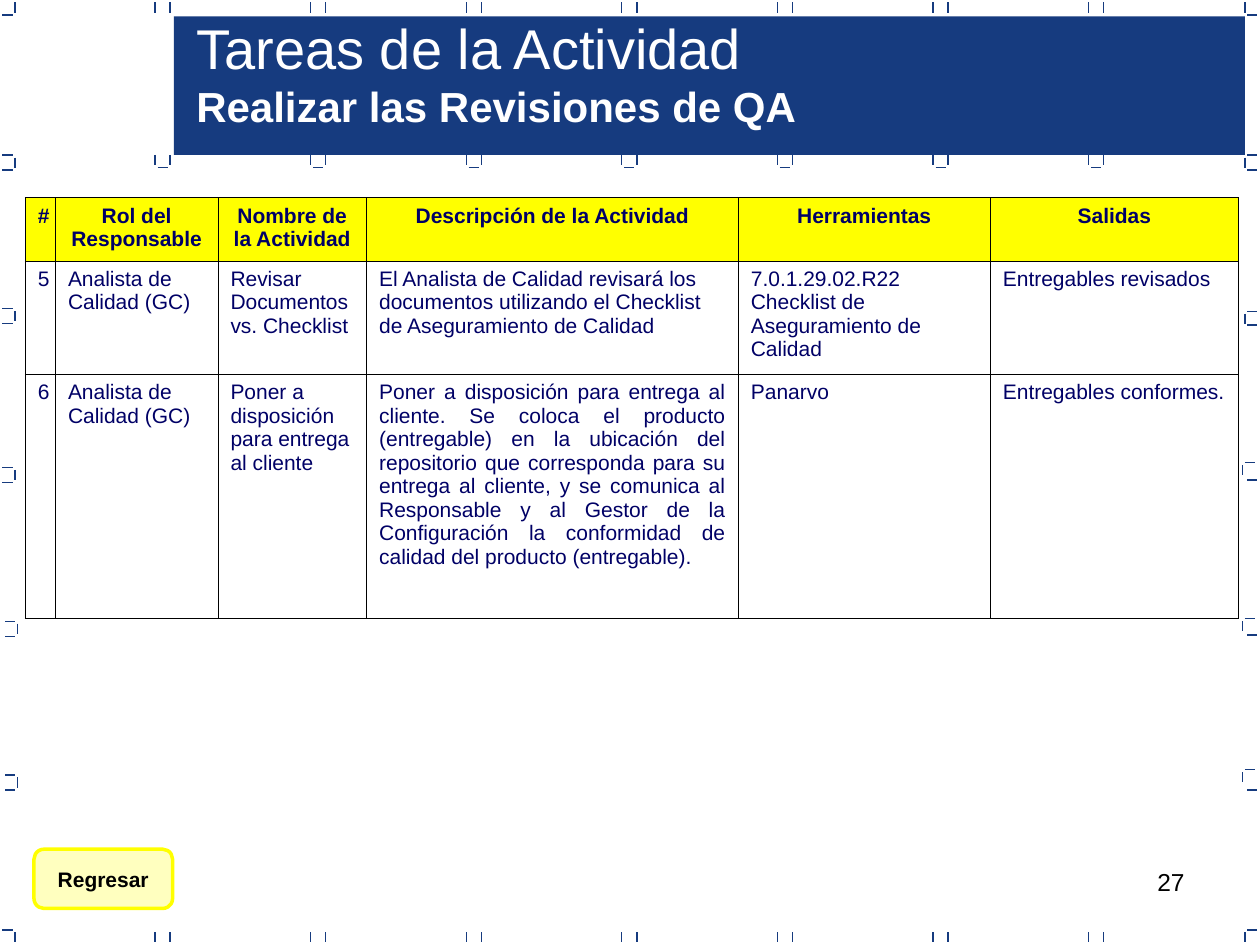
import pptx
import pptx.util
import pptx.dml.color
import pptx.enum.shapes
import pptx.enum.text
import pptx.oxml
import pptx.oxml.ns
import lxml.etree

Inches = pptx.util.Inches
Pt = pptx.util.Pt
RGBColor = pptx.dml.color.RGBColor
MSO_SHAPE = pptx.enum.shapes.MSO_SHAPE
PP_ALIGN = pptx.enum.text.PP_ALIGN
qn = pptx.oxml.ns.qn

BLUE = RGBColor(0x16, 0x3B, 0x7F)
NAVY = RGBColor(0x00, 0x00, 0x66)
YELLOW = RGBColor(0xFF, 0xFF, 0x00)
WHITE = RGBColor(0xFF, 0xFF, 0xFF)
BLACK = RGBColor(0x00, 0x00, 0x00)

TICK = 0.08    # length of a border tick
GAP = 0.02     # space between a tick and the corner it hints at
SIDE = 0.12    # side of a dashed corner square

COLUMNS = [0.24, 1.29, 1.18, 2.95, 2.0, 1.97]
ROWS = [0.5, 0.9, 1.94]
HEADER = ["#", "Rol del Responsable", "Nombre de la Actividad",
          "Descripción de la Actividad", "Herramientas", "Salidas"]
TASKS = [
    ["5", "Analista de Calidad (GC)", "Revisar Documentos vs. Checklist",
     "El Analista de Calidad revisará los documentos utilizando el Checklist "
     "de Aseguramiento de Calidad",
     "7.0.1.29.02.R22 Checklist de Aseguramiento de Calidad",
     "Entregables revisados"],
    ["6", "Analista de Calidad (GC)", "Poner a disposición para entrega al cliente",
     "Poner a disposición para entrega al cliente. Se coloca el producto "
     "(entregable) en la ubicación del repositorio que corresponda para su "
     "entrega al cliente, y se comunica al Responsable y al Gestor de la "
     "Configuración la conformidad de calidad del producto (entregable).",
     "Panarvo", "Entregables conformes."],
]
# Cells whose text has wider spacing above and below
SPACED = {(1, 3), (1, 4), (1, 5), (2, 5)}


def write(p, text, size, color, bold=False, align=PP_ALIGN.LEFT):
    p.text = text
    p.alignment = align
    p.font.name = "Arial"
    p.font.size = Pt(size)
    p.font.bold = bold
    p.font.color.rgb = color


def add_tick(slide, x, y, vertical):
    end = (x, y + TICK) if vertical else (x + TICK, y)
    c = slide.shapes.add_connector(pptx.enum.shapes.MSO_CONNECTOR.STRAIGHT,
                                   Inches(x), Inches(y), *map(Inches, end))
    c.line.color.rgb = BLUE
    c.line.width = Pt(0.75)
    lxml.etree.SubElement(c._element.spPr, qn("a:effectLst"))


def add_border(slide, width, height):
    right = width - SIDE
    edges = (GAP, height - GAP - TICK)

    # Pairs along the top and bottom, and open squares under the band
    for i in range(7):
        x = 1.23 + 1.235 * i
        for y in (*edges, 1.23):
            add_tick(slide, x, y, True)
            add_tick(slide, x + SIDE, y, True)
        add_tick(slide, x + GAP, 1.33, False)

    # Corners
    for y, level in zip(edges, (SIDE, height - SIDE)):
        for x_vertical, x_level in ((SIDE, GAP), (right, right + GAP)):
            add_tick(slide, x_vertical, y, True)
            add_tick(slide, x_level, level, False)

    # Open squares down the left side
    for x, y in ((0.02, 1.23), (0.02, 2.45), (0.02, 3.71), (0.04, 4.93), (0.04, 6.15)):
        add_tick(slide, x, y, False)
        add_tick(slide, x + 0.1, y + GAP, True)
        add_tick(slide, x, y + SIDE, False)

    # Open squares down the right side, with evenly spaced lower ticks
    squares = ((9.88, 1.23), (9.88, 2.47), (9.86, 3.67), (9.86, 4.91), (9.86, 6.11))
    for i, (x, y) in enumerate(squares):
        add_tick(slide, x + GAP, y, False)
        add_tick(slide, x, y + GAP, True)
        add_tick(slide, right + GAP, 1.35 + 1.23 * i, False)


def add_title(slide, x, y, w, h):
    band = slide.shapes.add_shape(MSO_SHAPE.RECTANGLE, Inches(x), Inches(y),
                                  Inches(w), Inches(h))
    band.shadow.inherit = False
    band.fill.solid()
    band.fill.fore_color.rgb = BLUE
    band.line.fill.background()

    box = slide.shapes.add_textbox(Inches(x + 0.08), Inches(y - 0.07),
                                   Inches(6.54), Inches(1.04))
    tf = box.text_frame
    tf.word_wrap = True
    write(tf.paragraphs[0], "Tareas de la Actividad", 32, WHITE)
    write(tf.add_paragraph(), "Realizar las Revisiones de QA", 24, WHITE, bold=True)


def set_borders(cell):
    tcPr = cell._tc.get_or_add_tcPr()
    for i, side in enumerate(("lnL", "lnR", "lnT", "lnB")):
        ln = pptx.oxml.parse_xml(
            f'<a:{side} xmlns:a="http://schemas.openxmlformats.org/drawingml/2006/main" '
            f'w="{Pt(0.45)}"><a:solidFill><a:srgbClr val="{BLACK}"/></a:solidFill></a:{side}>')
        tcPr.insert(i, ln)


def add_task_table(slide, x, y, w, h):
    table = slide.shapes.add_table(len(ROWS), len(COLUMNS), Inches(x), Inches(y),
                                   Inches(w), Inches(h)).table
    table.first_row = table.horz_banding = False
    for column, width in zip(table.columns, COLUMNS):
        column.width = Inches(width)
    for row, height in zip(table.rows, ROWS):
        row.height = Inches(height)

    for r, texts in enumerate([HEADER] + TASKS):
        for c, text in enumerate(texts):
            cell = table.cell(r, c)
            if r == 0:
                cell.fill.solid()
                cell.fill.fore_color.rgb = YELLOW
            else:
                cell.fill.background()
            if r == 0 or c == 0:
                align = PP_ALIGN.CENTER
            else:
                align = PP_ALIGN.JUSTIFY if (r, c) == (2, 3) else PP_ALIGN.LEFT
            p = cell.text_frame.paragraphs[0]
            write(p, text, 12, NAVY, bold=r == 0, align=align)
            spaced = (r, c) in SPACED
            p.space_before = Pt(6 if spaced else 3)
            p.space_after = Pt(6 if spaced else 0)
            set_borders(cell)


def add_return_button(slide, x, y, w, h):
    sp = slide.shapes.add_shape(MSO_SHAPE.FLOWCHART_ALTERNATE_PROCESS, Inches(x),
                                Inches(y), Inches(w), Inches(h))
    sp.shadow.inherit = False
    sp.fill.solid()
    sp.fill.fore_color.rgb = YELLOW
    color = sp._element.spPr.find(qn("a:solidFill")).find(qn("a:srgbClr"))
    lxml.etree.SubElement(color, qn("a:alpha"), val="25000")
    sp.line.color.rgb = YELLOW
    sp.line.width = Pt(2)
    tf = sp.text_frame
    tf.word_wrap = False
    tf.vertical_anchor = pptx.enum.text.MSO_ANCHOR.MIDDLE
    write(tf.paragraphs[0], "Regresar", 12, BLACK, bold=True, align=PP_ALIGN.CENTER)


def add_page_number(slide, x, y, w, h):
    box = slide.shapes.add_textbox(Inches(x), Inches(y), Inches(w), Inches(h))
    box.text_frame.word_wrap = True
    write(box.text_frame.paragraphs[0], "27", 14, BLACK, align=PP_ALIGN.RIGHT)


def main():
    prs = pptx.Presentation()
    prs.slide_width = Inches(10)
    prs.slide_height = Inches(7.5)
    slide = prs.slides.add_slide(prs.slide_layouts[6])
    add_page_number(slide, 7.17, 6.83, 2.33, 0.52)
    add_border(slide, 10, 7.5)
    add_title(slide, 1.38, 0.13, 8.5, 1.1)
    add_task_table(slide, 0.2, 1.57, sum(COLUMNS), sum(ROWS))
    add_return_button(slide, 0.27, 6.74, 1.1, 0.47)
    prs.save("out.pptx")


if __name__ == "__main__":
    main()
